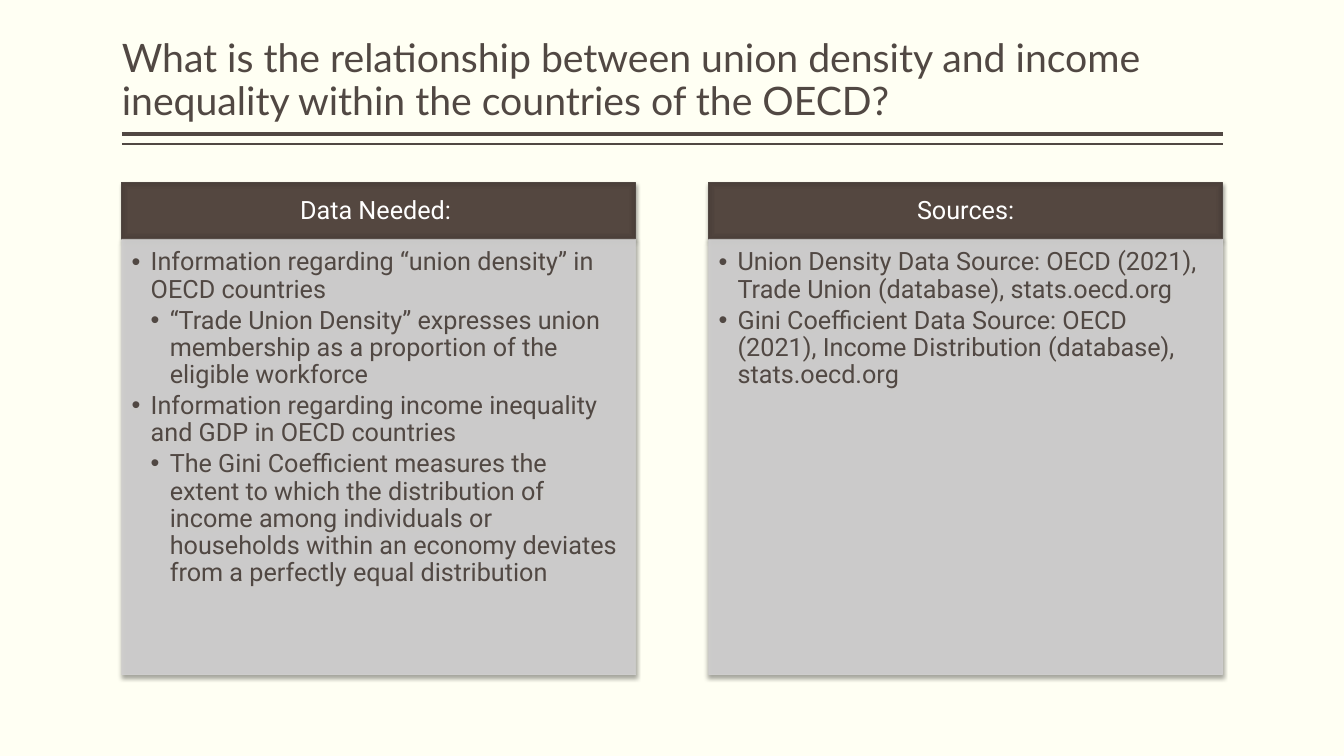
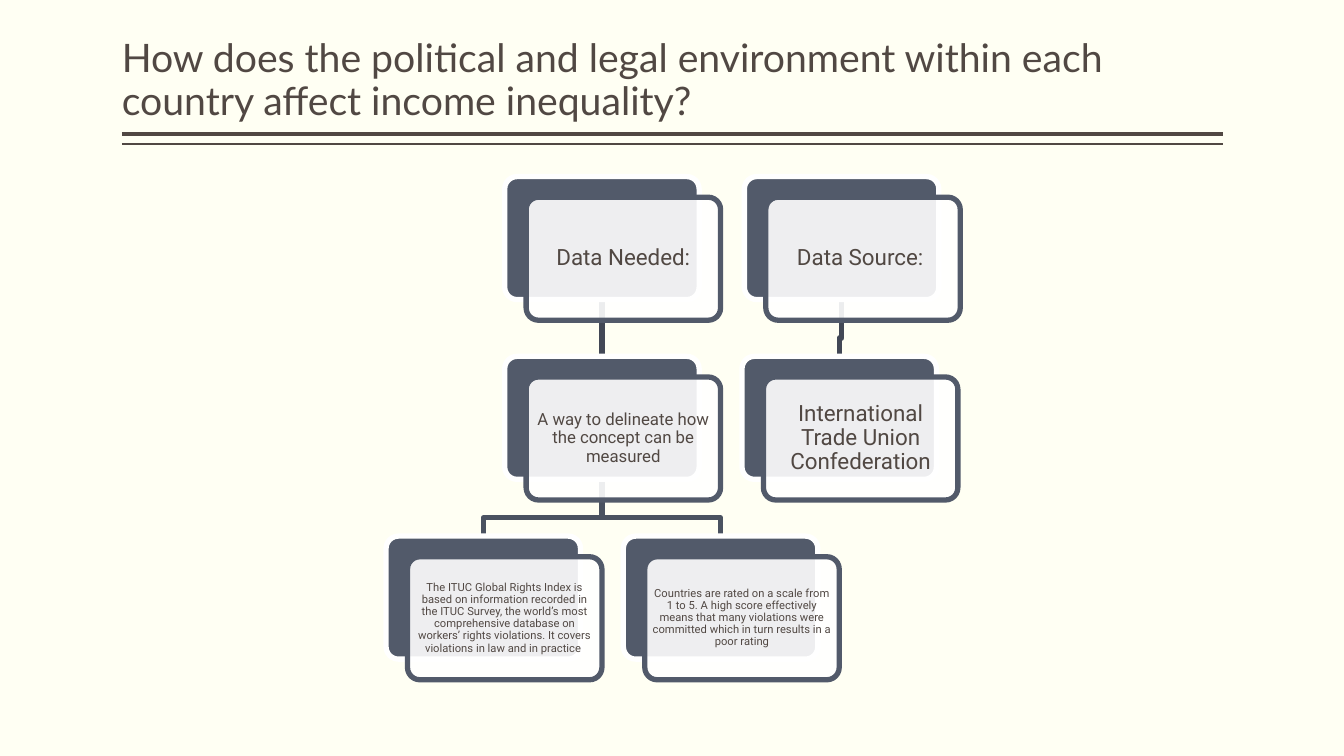
from dataclasses import dataclass
from typing import NamedTuple

from lxml.etree import SubElement
from pptx import Presentation
from pptx.dml.color import RGBColor as Rgb
from pptx.enum.shapes import MSO_CONNECTOR as Connector, MSO_SHAPE as Preset
from pptx.enum.text import MSO_ANCHOR as Anchor, PP_ALIGN as Align
from pptx.oxml.ns import qn
from pptx.util import Cm, Pt


@dataclass(frozen=True)
class Theme:
    paper: str = "FFFFF3"
    ink: str = "514843"
    white: str = "FFFFFF"
    header_center: str = "544740"
    header_edge: str = "4A3F39"
    panel: str = "D0CFCF"
    card: str = "525A6A"
    upper_link: str = "424855"
    lower_link: str = "4A5260"
    title_font: str = "Lato"
    body_font: str = "Roboto"
    title_size: int = 28
    panel_size: int = 18
    card_size: int = 16
    card_medium: int = 12
    card_small: int = 8
    card_line: float = 3.78


THEME = Theme()
TITLE_ONLY = 5

# All lengths below are in centimetres.
MARGIN, CONTENT_WIDTH = 3.07, 27.74
PANEL_WIDTH, PANEL_TOP = 12.95, 4.6
HEADER_HEIGHT, BODY_HEIGHT = 1.43, 10.97
CARD_WIDTH, CARD_HEIGHT = 4.9, 3.1
CARD_SHIFT_X, CARD_SHIFT_Y = 0.54, 0.52
TREE_LEFT, TREE_TOP = 9.73, 4.45
COLUMN_STEP, ROW_STEP = 2.99, 4.53
ELBOW_DROP = 0.97


class Node(NamedTuple):
    """A card of the tree; columns are half the distance between siblings."""
    column: float
    row: int
    text: str
    size: int = THEME.card_size

    @property
    def left(self):
        return TREE_LEFT + self.column * COLUMN_STEP

    @property
    def top(self):
        return TREE_TOP + self.row * ROW_STEP

    @property
    def center(self):
        return self.left + CARD_WIDTH / 2


def set_alpha(color_parent, percent):
    color = next(color_parent.iter(qn("a:srgbClr")))
    SubElement(color, qn("a:alpha"), val=str(percent * 1000))


def paint(shape, fill, line, width, alpha=100):
    shape.shadow.inherit = False
    shape.fill.solid()
    shape.fill.fore_color.rgb = Rgb.from_string(fill)
    if alpha < 100:
        set_alpha(shape._element.spPr.find(qn("a:solidFill")), alpha)
    paint_line(shape, line, width)


def paint_line(shape, color, width):
    shape.line.color.rgb = Rgb.from_string(color)
    shape.line.width = Pt(width)


def fill_from_center(shape, center, edge):
    shape.fill.gradient()
    inner, outer = shape.fill.gradient_stops
    inner.position, outer.position = 0.71, 1
    inner.color.rgb = Rgb.from_string(center)
    outer.color.rgb = Rgb.from_string(edge)
    gradient = shape._element.spPr.find(qn("a:gradFill"))
    gradient.remove(gradient.find(qn("a:lin")))
    shade = SubElement(gradient, qn("a:path"), path="rect")
    SubElement(shade, qn("a:fillToRect"),
               {side: "50000" for side in "ltrb"})


def add_soft_shadow(shape):
    effects = shape._element.spPr.find(qn("a:effectLst"))
    shadow = SubElement(effects, qn("a:outerShdw"), blurRad=str(Pt(3.1)),
                        dist=str(Pt(2)), dir="5400000", rotWithShape="0")
    color = SubElement(shadow, qn("a:srgbClr"), val="000000")
    SubElement(color, qn("a:alpha"), val="38000")


def set_frame(frame, anchor, left, top, right, bottom):
    frame.word_wrap = True
    frame.vertical_anchor = anchor
    frame.margin_left, frame.margin_top = Cm(left), Cm(top)
    frame.margin_right, frame.margin_bottom = Cm(right), Cm(bottom)


def write(para, text, size, color=THEME.ink, font=THEME.body_font,
          align=Align.LEFT, gap=0.0):
    """Fill a paragraph; gap is the space after it as a share of the size."""
    para.alignment = align
    para.line_spacing = 0.9
    para.space_before = Pt(0)
    para.space_after = Pt(size * gap)
    span = para.add_run()
    span.text = text
    span.font.name = font
    span.font.size = Pt(size)
    span.font.color.rgb = Rgb.from_string(color)


def add_bullet(para, level):
    para.level = level
    props = para._p.get_or_add_pPr()
    indent = Cm(0.48)
    props.set("marL", str(indent * (level + 1)))
    props.set("indent", str(-indent))
    SubElement(props, qn("a:buFont"), typeface="Arial")
    SubElement(props, qn("a:buChar"), char="•")


def add_box(page, preset, left, top, width, height):
    return page.shapes.add_shape(preset, Cm(left), Cm(top),
                                 Cm(width), Cm(height))


def add_line(page, start, end, color, width):
    line = page.shapes.add_connector(Connector.STRAIGHT,
                                     *(Cm(value) for value in start + end))
    paint_line(line, color, width)
    SubElement(line._element.spPr, qn("a:effectLst"))


def add_page(deck, heading):
    """Add a page with its title above a thick and a thin rule."""
    page = deck.slides.add_slide(deck.slide_layouts[TITLE_ONLY])
    for y, width in ((3.38, 3), (3.63, 1)):
        add_line(page, (MARGIN, y), (MARGIN + CONTENT_WIDTH, y),
                 THEME.ink, width)
    title = page.shapes.title
    title.left, title.top = Cm(MARGIN), Cm(0.2)
    title.width, title.height = Cm(CONTENT_WIDTH), Cm(3.05)
    set_frame(title.text_frame, Anchor.BOTTOM, 0, 0.13, 0, 0.13)
    write(title.text_frame.paragraphs[0], heading, THEME.title_size,
          font=THEME.title_font)
    return page


def add_panel(page, left, heading, bullets):
    header = add_box(page, Preset.RECTANGLE, left, PANEL_TOP,
                     PANEL_WIDTH, HEADER_HEIGHT)
    paint(header, THEME.header_center, THEME.ink, 0.5)
    fill_from_center(header, THEME.header_center, THEME.header_edge)
    set_frame(header.text_frame, Anchor.MIDDLE, 0.36, 0.2, 0.36, 0.2)
    write(header.text_frame.paragraphs[0], heading, THEME.panel_size,
          THEME.white, align=Align.CENTER, gap=0.35)

    body = add_box(page, Preset.RECTANGLE, left, PANEL_TOP + HEADER_HEIGHT,
                   PANEL_WIDTH, BODY_HEIGHT)
    paint(body, THEME.panel, THEME.panel, 0.5, alpha=90)
    set_alpha(body._element.spPr.find(qn("a:ln")), 90)
    frame = body.text_frame
    set_frame(frame, Anchor.TOP, 0.25, 0.25, 0.36, 0.4)
    for index, (level, text) in enumerate(bullets):
        para = frame.add_paragraph() if index else frame.paragraphs[0]
        write(para, text, THEME.panel_size, gap=0.15)
        add_bullet(para, level)

    for box in (header, body):
        add_soft_shadow(box)


def add_link(page, parent, child):
    color = THEME.lower_link if parent.row else THEME.upper_link
    start = (parent.center, parent.top + CARD_HEIGHT)
    end = (child.center, child.top)
    if parent.column == child.column:
        add_line(page, start, end, color, THEME.card_line)
        return
    bend = start[1] + ELBOW_DROP
    corners = [(start[0], bend), (end[0], bend), end]
    builder = page.shapes.build_freeform(Cm(start[0]), Cm(start[1]))
    builder.add_line_segments([(Cm(x), Cm(y)) for x, y in corners],
                              close=False)
    elbow = builder.convert_to_shape()
    elbow.shadow.inherit = False
    elbow.fill.background()
    paint_line(elbow, color, THEME.card_line)


def add_card(page, node):
    """Draw a dark back plate and the translucent text card over it."""
    back = add_box(page, Preset.ROUNDED_RECTANGLE, node.left, node.top,
                   CARD_WIDTH, CARD_HEIGHT)
    paint(back, THEME.card, THEME.white, THEME.card_line)
    front = add_box(page, Preset.ROUNDED_RECTANGLE, node.left + CARD_SHIFT_X,
                    node.top + CARD_SHIFT_Y, CARD_WIDTH, CARD_HEIGHT)
    paint(front, THEME.white, THEME.card, THEME.card_line, alpha=90)
    for plate in (back, front):
        plate.adjustments[0] = 0.1
    inset = node.size * 0.01
    set_frame(front.text_frame, Anchor.MIDDLE, inset, inset, inset, inset)
    write(front.text_frame.paragraphs[0], node.text, node.size,
          align=Align.CENTER, gap=0.35)


def add_density_page(deck):
    page = add_page(deck, "What is the relationship between union density and "
                          "income inequality within the countries of the OECD?")
    add_panel(page, MARGIN, "Data Needed: ", [
        (0, "Information regarding “union density” in OECD countries"),
        (1, "“Trade Union Density” expresses union membership as a proportion "
            "of the eligible workforce"),
        (0, "Information regarding income inequality and GDP in OECD "
            "countries"),
        (1, "The Gini Coefficient measures the extent to which the "
            "distribution of income among individuals or households within an "
            "economy deviates from a perfectly equal distribution"),
    ])
    add_panel(page, MARGIN + CONTENT_WIDTH - PANEL_WIDTH, "Sources:", [
        (0, "Union Density Data Source: OECD (2021), Trade Union (database), "
            "stats.oecd.org"),
        (0, "Gini Coefficient Data Source: OECD (2021), Income Distribution "
            "(database), stats.oecd.org"),
    ])


def add_environment_page(deck):
    page = add_page(deck, "How does the political and legal environment within "
                          "each country affect income inequality?")
    needed = Node(1, 0, "Data Needed:")
    concept = Node(1, 1, "A way to delineate how the concept can be measured",
                   THEME.card_medium)
    index = Node(0, 2, "The ITUC Global Rights Index is based on information "
                       "recorded in the ITUC Survey, the world’s most "
                       "comprehensive database on workers’ rights violations. "
                       "It covers violations in law and in practice ",
                 THEME.card_small)
    rating = Node(2, 2, "Countries are rated on a scale from 1 to 5. A high "
                        "score effectively means that many violations were "
                        "committed which in turn results in a poor rating",
                  THEME.card_small)
    source = Node(3.02, 0, "Data Source: ")
    confederation = Node(3, 1, "International Trade Union Confederation")

    for parent, child in ((source, confederation), (concept, rating),
                          (concept, index), (needed, concept)):
        add_link(page, parent, child)
    for node in (needed, concept, index, rating, source, confederation):
        add_card(page, node)


def main():
    deck = Presentation()
    deck.slide_width, deck.slide_height = Cm(33.87), Cm(19.05)
    backdrop = deck.slide_master.background.fill
    backdrop.solid()
    backdrop.fore_color.rgb = Rgb.from_string(THEME.paper)
    add_density_page(deck)
    add_environment_page(deck)
    deck.save("out.pptx")


if __name__ == "__main__":
    main()
